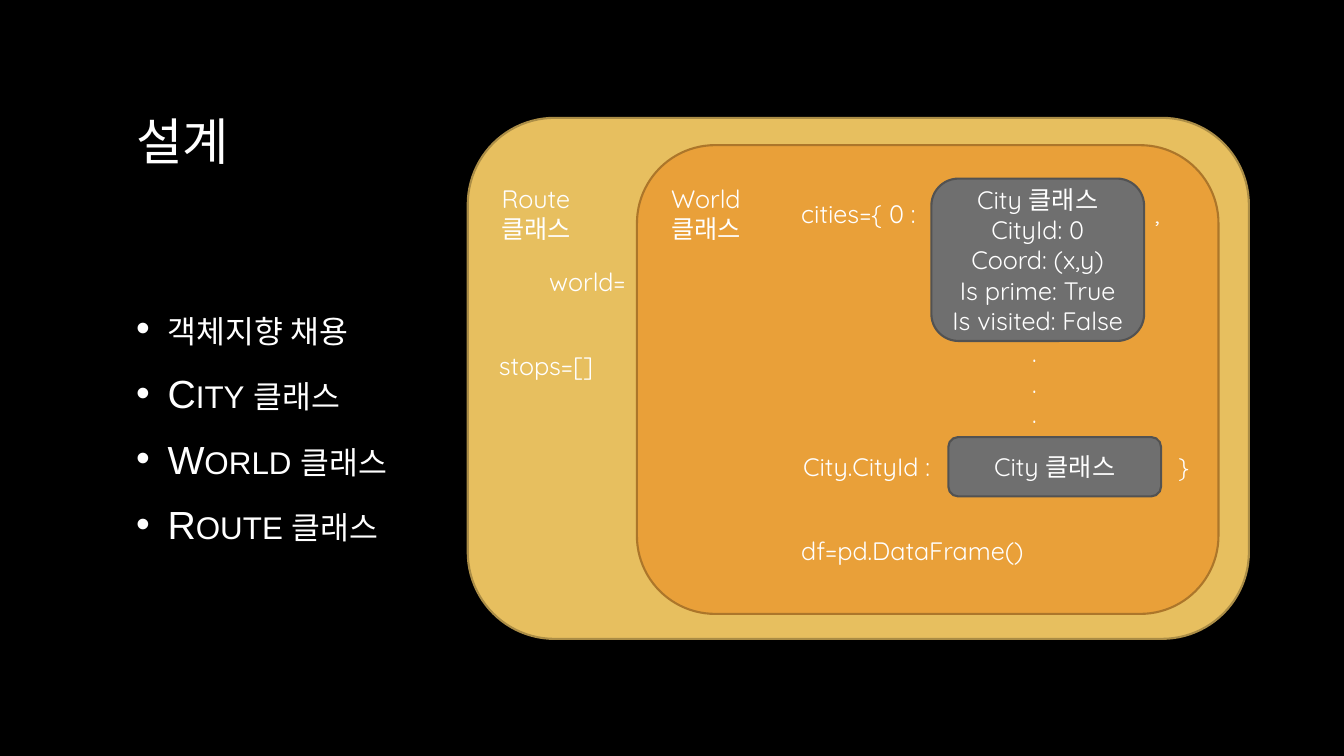
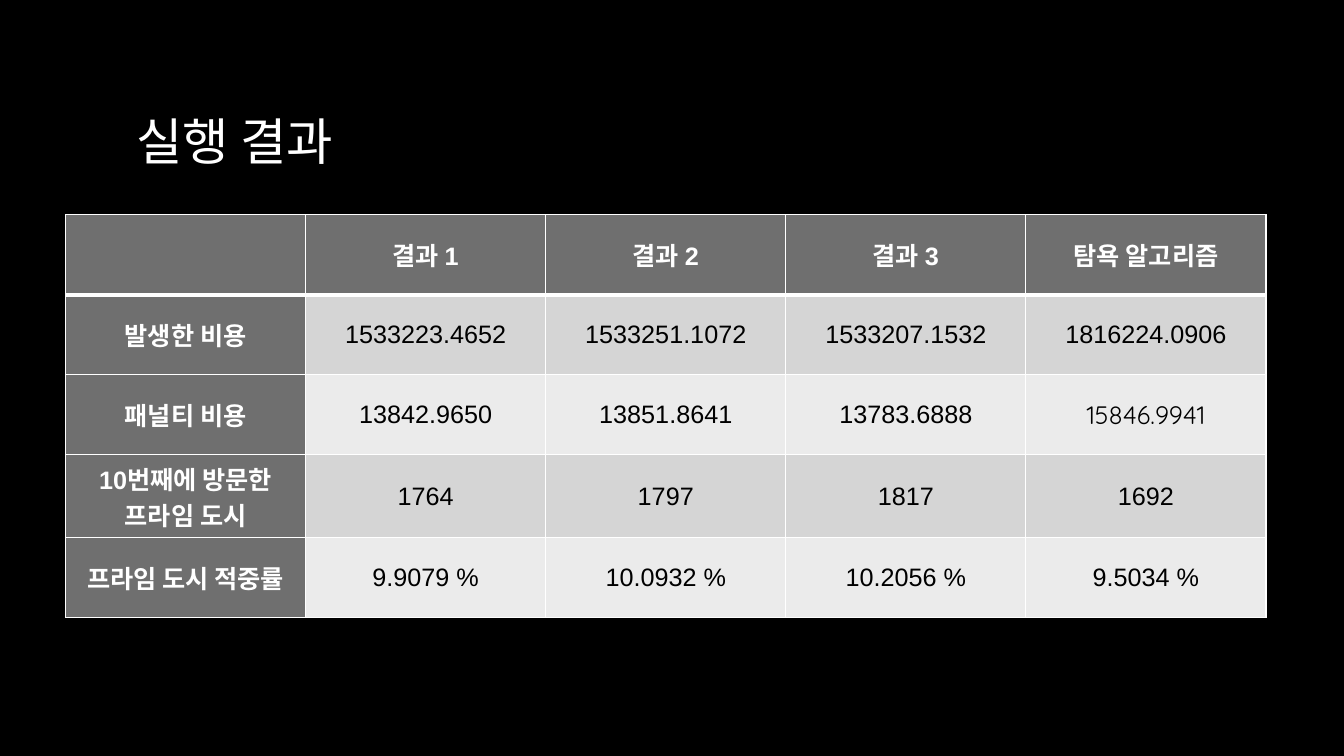
from dataclasses import dataclass

from lxml import etree
from pptx import Presentation
from pptx import util as u
from pptx.dml import color as dml
from pptx.enum import shapes, text
from pptx.oxml import ns

COLORS = {
    "black": "000000",
    "white": "FFFFFF",
    "title_end": "A6A6A6",
    "body_end": "BFBFBF",
    "yellow": "E7BF5F",
    "yellow_line": "AB8D46",
    "orange": "E9A039",
    "orange_line": "AC762A",
    "gray": "6F6F6F",
    "gray_line": "525252",
    "band_dark": "D5D5D5",
    "band_light": "EBEBEB",
}
BODY_FONT = "Arial"
DIAGRAM_FONT = "Quicksand"
TITLE_LAYOUT = 5
LIST_LAYOUT = 1


@dataclass(frozen=True)
class Area:
    left: float
    top: float
    width: float
    height: float

    def lengths(self) -> tuple:
        return tuple(u.Pt(n) for n in (self.left, self.top, self.width, self.height))


@dataclass(frozen=True)
class Panel:
    area: Area
    color: str
    words: str = ""


@dataclass(frozen=True)
class Label:
    area: Area
    words: str


PANELS = [
    Panel(Area(334.1, 84.2, 558, 372.2), "yellow"),
    Panel(Area(455, 103.7, 415.4, 334.8), "orange"),
    Panel(
        Area(665.3, 127.6, 152, 116),
        "gray",
        "City 클래스\nCityId: 0\nCoord: (x,y)\nIs prime: True\nIs visited: False",
    ),
    Panel(Area(677.4, 312.2, 152, 42.4), "gray", "City 클래스"),
]
LABELS = [
    Label(Area(351.2, 127.4, 80.6, 51), "Route\n클래스"),
    Label(Area(472.3, 127.4, 80.6, 51), "World\n클래스"),
    Label(Area(565.2, 138.2, 100.1, 29), "cities={ 0 :"),
    Label(Area(817.9, 138.2, 21, 29), ","),
    Label(Area(566.6, 319, 114.5, 29), "City.CityId :"),
    Label(Area(834.5, 319, 21, 29), "}"),
    Label(Area(730.1, 237.6, 21, 72.7), ".\n.\n."),
    Label(Area(385.2, 186.5, 77, 29), "world="),
    Label(Area(349.2, 247, 82.8, 29), "stops=[]"),
    Label(Area(565.2, 378.7, 204.5, 29), "df=pd.DataFrame()"),
]
RESULTS = [
    ["", "결과 1", "결과 2", "결과 3", "탐욕 알고리즘"],
    ["발생한 비용", "1533223.4652", "1533251.1072", "1533207.1532", "1816224.0906"],
    ["패널티 비용", "13842.9650", "13851.8641", "13783.6888", "15846.9941"],
    ["10번째에 방문한\n프라임 도시", "1764", "1797", "1817", "1692"],
    ["프라임 도시 적중률", "9.9079 %", "10.0932 %", "10.2056 %", "9.5034 %"],
]


def rgb(name: str) -> dml.RGBColor:
    return dml.RGBColor.from_string(COLORS[name])


def fill_solid(fill, name: str) -> None:
    fill.solid()
    fill.fore_color.rgb = rgb(name)


def fade_font(font, size: float, end: str) -> None:
    font.name = BODY_FONT
    font.size = u.Pt(size)
    font.fill.gradient()
    font.fill.gradient_angle = 267
    for stop, name in zip(font.fill.gradient_stops, ("white", end)):
        stop.color.rgb = rgb(name)


def format_spans(para, font_name: str, color: str, bold: bool = False) -> None:
    for span in para.runs:
        span.font.name = font_name
        span.font.size = u.Pt(18)
        span.font.bold = bold
        span.font.color.rgb = rgb(color)


def place(holder, area: Area) -> None:
    holder.left, holder.top, holder.width, holder.height = area.lengths()
    holder.text_frame.auto_size = text.MSO_AUTO_SIZE.NONE
    holder.text_frame.vertical_anchor = text.MSO_ANCHOR.MIDDLE


def add_page(deck, layout: int, title: str, width: float):
    page = deck.slides.add_slide(deck.slide_layouts[layout])
    holder = page.shapes.title
    place(holder, Area(90, 48.2, width, 104.4))
    holder.text_frame.text = title
    para = holder.text_frame.paragraphs[0]
    para.alignment = text.PP_ALIGN.LEFT
    fade_font(para.runs[0].font, 36, "title_end")
    return page


def add_bullet(para) -> None:
    props = para._p.get_or_add_pPr()
    props.set("marL", str(u.Pt(22.5)))
    props.set("indent", str(-u.Pt(22.5)))
    tint = etree.SubElement(props, ns.qn("a:buClr"))
    etree.SubElement(tint, ns.qn("a:srgbClr"), val=COLORS["white"])
    etree.SubElement(props, ns.qn("a:buFont"), typeface=BODY_FONT)
    etree.SubElement(props, ns.qn("a:buChar"), char="•")


def fill_list(holder, items: list[str]) -> None:
    place(holder, Area(90, 152.6, 244, 303))
    holder.text_frame.text = "\n".join(items)
    for index, para in enumerate(holder.text_frame.paragraphs):
        add_bullet(para)
        para.space_before = u.Pt(7 if index else 0)
        para.space_after = u.Pt(6)
        for span in para.runs:
            fade_font(span.font, 28, "body_end")
            span._r.get_or_add_rPr().set("cap", "small")


def add_panel(page, panel: Panel) -> None:
    box = page.shapes.add_shape(
        shapes.MSO_SHAPE.ROUNDED_RECTANGLE, *panel.area.lengths()
    )
    box.shadow.inherit = False
    fill_solid(box.fill, panel.color)
    box.line.color.rgb = rgb(f"{panel.color}_line")
    box.line.width = u.Pt(1.5)
    if panel.words:
        box.text_frame.text = panel.words
        box.text_frame.vertical_anchor = text.MSO_ANCHOR.MIDDLE
        for para in box.text_frame.paragraphs:
            para.alignment = text.PP_ALIGN.CENTER
            format_spans(para, DIAGRAM_FONT, "white")


def add_label(page, label: Label) -> None:
    box = page.shapes.add_textbox(*label.area.lengths())
    box.text_frame.word_wrap = True
    box.text_frame.auto_size = text.MSO_AUTO_SIZE.SHAPE_TO_FIT_TEXT
    box.text_frame.text = label.words
    for para in box.text_frame.paragraphs:
        format_spans(para, DIAGRAM_FONT, "white")


def add_borders(cell, top: float, bottom: float) -> None:
    props = cell._tc.get_or_add_tcPr()
    for side, width in (("L", 1), ("R", 1), ("T", top), ("B", bottom)):
        edge = etree.SubElement(props, ns.qn(f"a:ln{side}"), w=str(u.Pt(width)))
        paint = etree.SubElement(edge, ns.qn("a:solidFill"))
        etree.SubElement(paint, ns.qn("a:srgbClr"), val=COLORS["white"])


def add_results(page, rows: list[list[str]], area: Area):
    table = page.shapes.add_table(len(rows), len(rows[0]), *area.lengths()).table
    for row_index, row in enumerate(rows):
        for column_index, words in enumerate(row):
            cell = table.cell(row_index, column_index)
            heading = row_index == 0 or column_index == 0
            band = "band_dark" if row_index % 2 else "band_light"
            add_borders(
                cell, 3 if row_index == 1 else 1, 3 if row_index == 0 else 1
            )
            fill_solid(cell.fill, "gray" if heading else band)
            cell.vertical_anchor = text.MSO_ANCHOR.MIDDLE
            para = cell.text_frame.paragraphs[0]
            para.text = words
            para.alignment = text.PP_ALIGN.CENTER
            format_spans(para, BODY_FONT, "white" if heading else "black", heading)
    return table


def build_design(deck) -> None:
    page = add_page(deck, LIST_LAYOUT, "설계", 226.8)
    fill_list(
        page.placeholders[1],
        ["객체지향 채용", "City 클래스", "World 클래스", "Route 클래스"],
    )
    for panel in PANELS:
        add_panel(page, panel)
    for label in LABELS:
        add_label(page, label)


def build_results(deck) -> None:
    page = add_page(deck, TITLE_LAYOUT, "실행 결과", 780)
    table = add_results(page, RESULTS, Area(46.8, 153.4, 857.5, 285.75))
    greedy_penalty = table.cell(2, 4).text_frame.paragraphs[0]
    format_spans(greedy_penalty, DIAGRAM_FONT, "black")


def main() -> None:
    deck = Presentation()
    deck.slide_width, deck.slide_height = u.Pt(960), u.Pt(540)
    fill_solid(deck.slide_master.background.fill, "black")
    build_design(deck)
    build_results(deck)
    deck.save("out.pptx")


if __name__ == "__main__":
    main()
